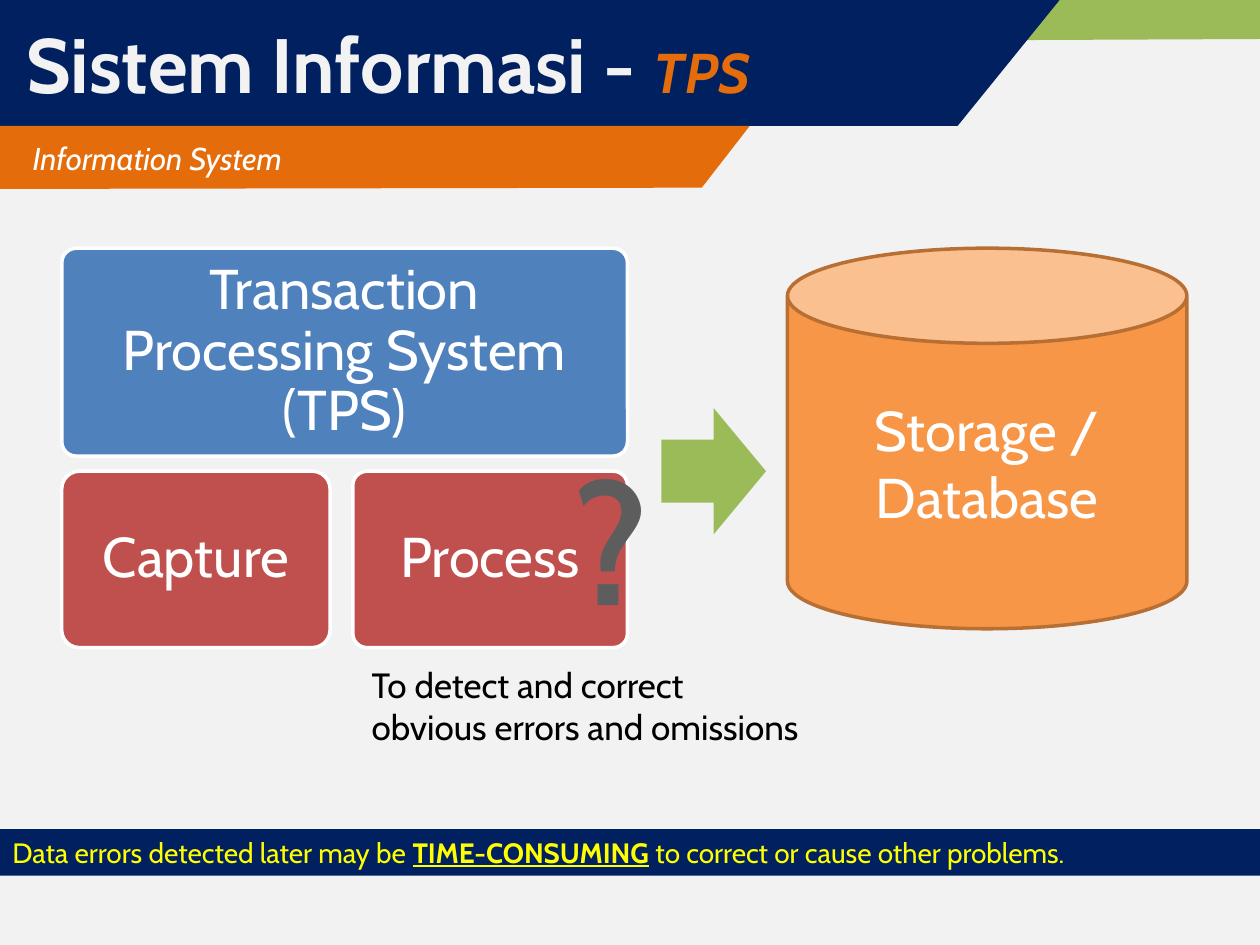
from dataclasses import dataclass

from pptx import Presentation
from pptx import util as u
from pptx.dml.color import RGBColor
from pptx.enum import shapes, text

NAVY = RGBColor(0x00, 0x20, 0x60)
ORANGE = RGBColor(0xE4, 0x6C, 0x0A)
GREEN = RGBColor(0x9B, 0xBB, 0x59)
BLUE = RGBColor(0x4F, 0x81, 0xBD)
RED = RGBColor(0xC0, 0x50, 0x4D)
PEACH = RGBColor(0xF7, 0x96, 0x46)
BROWN = RGBColor(0xB7, 0x6F, 0x34)
YELLOW = RGBColor(0xFF, 0xFF, 0x00)
GRAY = RGBColor(0x5D, 0x5D, 0x5D)
PALE = RGBColor(0xF2, 0xF2, 0xF2)
WHITE = RGBColor(0xFF, 0xFF, 0xFF)
BLACK = RGBColor(0x00, 0x00, 0x00)
FONT = "Cabin"
SHAPE = shapes.MSO_SHAPE
ALIGN = text.PP_ALIGN
ANCHOR = text.MSO_ANCHOR


@dataclass
class Run:
    text: str
    size: float
    color: RGBColor
    bold: bool = False
    italic: bool = False
    underline: bool = False


@dataclass
class Card:
    label: str
    left: float
    top: float
    width: float
    height: float
    fill: RGBColor
    corner: float


BANDS = {
    "corner": (GREEN, [(5.69, 0), (10, 0), (10, 0.31), (5.58, 0.33)]),
    "title": (NAVY, [(0, 0), (8.41, 0), (7.6, 1), (0, 1)]),
    "subtitle": (ORANGE, [(0, 1), (5.95, 1), (5.57, 1.49), (0, 1.5)]),
}
CARDS = [
    Card("Transaction Processing System (TPS)", 0.49, 1.97, 4.49, 1.65, BLUE, 0.07),
    Card("Capture", 0.49, 3.74, 2.13, 1.4, RED, 0.1),
    Card("Process", 2.8, 3.74, 2.18, 1.4, RED, 0.08),
]


def paint(sp, fill: RGBColor, line: RGBColor | None = None) -> None:
    sp.shadow.inherit = False
    sp.fill.solid()
    sp.fill.fore_color.rgb = fill
    if line is None:
        sp.line.fill.background()
    else:
        sp.line.color.rgb = line
        sp.line.width = u.Pt(2)


def write(sp, runs: list[Run], align=ALIGN.LEFT, anchor=ANCHOR.TOP,
          left: float = 0.1, wrap: bool = True):
    """Fill the shape's single paragraph and return it."""
    tf = sp.text_frame
    tf.word_wrap = wrap
    tf.vertical_anchor = anchor
    tf.margin_left = u.Inches(left)
    p = tf.paragraphs[0]
    p.alignment = align
    for run in runs:
        r = p.add_run()
        r.text = run.text
        r.font.name = FONT
        r.font.size = u.Pt(run.size)
        r.font.color.rgb = run.color
        r.font.bold = run.bold
        r.font.italic = run.italic
        r.font.underline = run.underline
    return p


def add_band(s, fill: RGBColor, points: list[tuple[float, float]]):
    start, *rest = [(u.Inches(x), u.Inches(y)) for x, y in points]
    builder = s.shapes.build_freeform(*start)
    builder.add_line_segments(rest, close=True)
    sp = builder.convert_to_shape()
    paint(sp, fill)
    return sp


def add_preset(s, kind, box: tuple[float, float, float, float],
               fill: RGBColor, line: RGBColor | None = None):
    sp = s.shapes.add_shape(kind, *map(u.Inches, box))
    paint(sp, fill, line)
    return sp


def add_text(s, box: tuple[float, float, float, float], runs: list[Run], **layout) -> None:
    write(s.shapes.add_textbox(*map(u.Inches, box)), runs, **layout)


def add_card(s, card: Card) -> None:
    box = (card.left, card.top, card.width, card.height)
    sp = add_preset(s, SHAPE.ROUNDED_RECTANGLE, box, card.fill, WHITE)
    sp.adjustments[0] = card.corner
    p = write(sp, [Run(card.label, 32, WHITE)], ALIGN.CENTER, ANCHOR.MIDDLE, left=0.14)
    p.line_spacing = 0.9
    sp.text_frame.margin_right = u.Inches(0.14)


def main() -> None:
    prs = Presentation()
    prs.slide_width, prs.slide_height = u.Inches(10), u.Inches(7.5)
    s = prs.slides.add_slide(prs.slide_layouts[6])
    s.background.fill.solid()
    s.background.fill.fore_color.rgb = PALE

    bands = {name: add_band(s, *band) for name, band in BANDS.items()}
    add_text(s, (0, 0, 10, 1),
             [Run("Sistem Informasi - ", 44, PALE, bold=True),
              Run("TPS", 32, ORANGE, bold=True, italic=True)],
             anchor=ANCHOR.MIDDLE, left=0.21)
    write(bands["subtitle"], [Run("Information System", 18, WHITE, italic=True)],
          anchor=ANCHOR.MIDDLE, left=0.26)

    footer = add_preset(s, SHAPE.RECTANGLE, (0, 6.58, 10, 0.37), NAVY)
    write(footer, [Run("Data errors detected later may be ", 16, YELLOW),
                   Run("TIME-CONSUMING", 16, YELLOW, bold=True, underline=True),
                   Run(" to correct or cause other problems.", 16, YELLOW)])

    for card in CARDS:
        add_card(s, card)
    add_preset(s, SHAPE.RIGHT_ARROW, (5.25, 3.24, 0.83, 1), GREEN)
    storage = add_preset(s, SHAPE.CAN, (6.25, 1.97, 3.17, 3.02), PEACH, BROWN)
    write(storage, [Run("Storage / Database", 32, WHITE)], ALIGN.CENTER, ANCHOR.MIDDLE)

    add_text(s, (4.46, 3.42, 0.79, 1.72), [Run("?", 96, GRAY, bold=True)], wrap=False)
    add_text(s, (2.85, 5.22, 3.65, 1.11),
             [Run("To detect and correct obvious errors and omissions", 20, BLACK)])

    prs.save("out.pptx")


if __name__ == "__main__":
    main()
